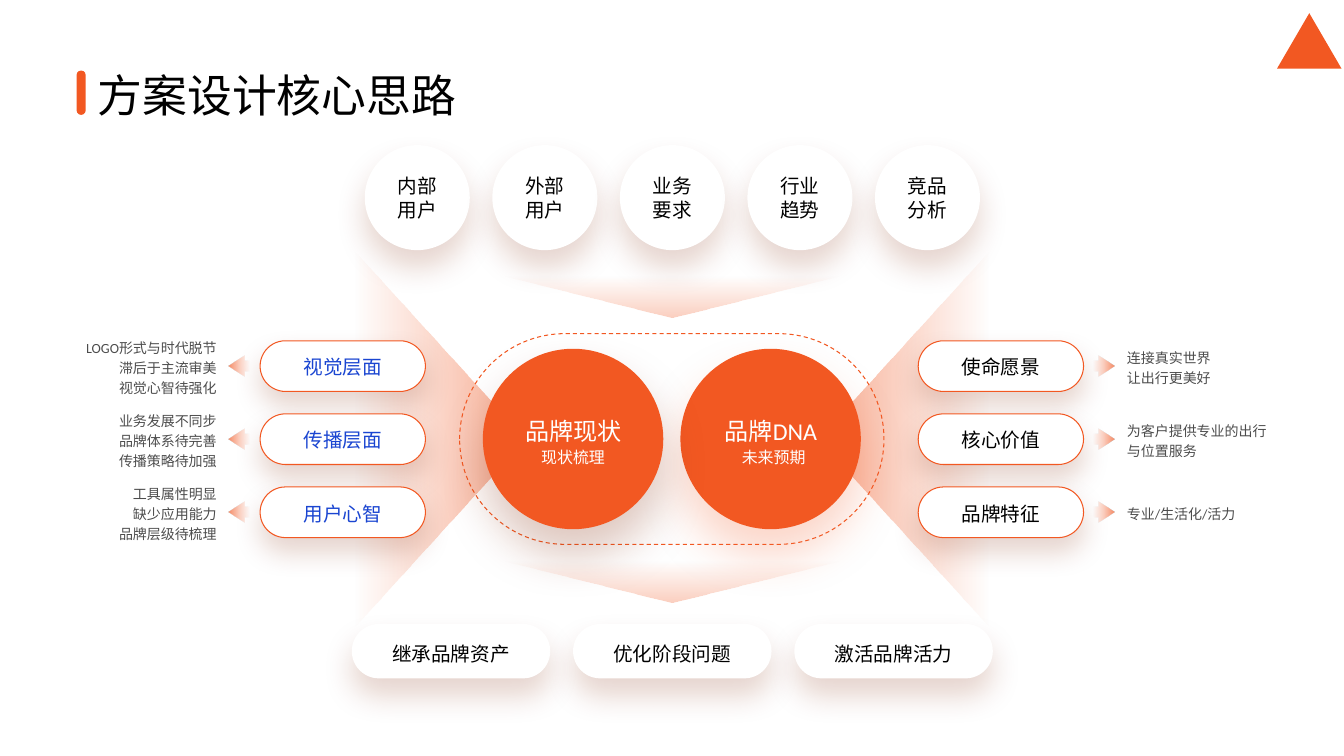
from pptx import Presentation
from pptx.dml.color import RGBColor
from pptx.enum.dml import MSO_LINE
from pptx.enum.shapes import MSO_SHAPE
from pptx.enum.text import MSO_ANCHOR, MSO_AUTO_SIZE, PP_ALIGN
from pptx.oxml import parse_xml
from pptx.oxml.ns import nsdecls, qn
from pptx.util import Pt

OVAL, PILL = MSO_SHAPE.OVAL, MSO_SHAPE.ROUNDED_RECTANGLE
TRIANGLE, ARROW = MSO_SHAPE.ISOSCELES_TRIANGLE, MSO_SHAPE.RIGHT_ARROW
LEFT, CENTER, RIGHT = PP_ALIGN.LEFT, PP_ALIGN.CENTER, PP_ALIGN.RIGHT
TOP, FIT, NO_FIT = MSO_ANCHOR.TOP, MSO_AUTO_SIZE.SHAPE_TO_FIT_TEXT, MSO_AUTO_SIZE.NONE
DASH = MSO_LINE.DASH
ORANGE, BROWN, WHITE, BLACK, BLUE = "F25822", "822808", "FFFFFF", "000000", "1A45D1"
CARD_SHADOW = (BROWN, 20, 22.1, 12.6)
PILL_SHADOW = (BROWN, 20, 20, 10)


def color(value):
    return RGBColor.from_string(value)


class SlideBuilder:
    """Draws styled elements on one slide, with lengths in points."""

    font = "Calibri"

    def __init__(self, slide):
        self.slide = slide

    def style(self, text_frame, text, size, text_color, align, spacing=None):
        text_frame.text = text
        for paragraph in text_frame.paragraphs:
            paragraph.alignment = align
            if spacing:
                paragraph.line_spacing = spacing
            for run in paragraph.runs:
                run.font.name = self.font
                run.font.size = Pt(size)
                run.font.color.rgb = color(text_color)

    def title(self, text, left, top, width, height):
        title = self.slide.shapes.title
        title.left, title.top, title.width, title.height = map(Pt, (left, top, width, height))
        text_frame = title.text_frame
        text_frame.word_wrap = False
        text_frame.auto_size = NO_FIT
        text_frame.vertical_anchor = TOP
        self.style(text_frame, text, 32, BLACK, LEFT)

    def text(self, text, left, top, width, height, size=14, text_color=BLACK, align=CENTER,
             spacing=None, margins=(6.5, 3.2), wrap=True, alpha=None):
        box = self.slide.shapes.add_textbox(*map(Pt, (left, top, width, height)))
        text_frame = box.text_frame
        text_frame.word_wrap = wrap
        text_frame.auto_size = FIT
        text_frame.margin_left = text_frame.margin_right = Pt(margins[0])
        text_frame.margin_top = text_frame.margin_bottom = Pt(margins[1])
        self.style(text_frame, text, size, text_color, align, spacing)
        if alpha:
            for tint in box._element.iter(qn("a:srgbClr")):
                tint.append(parse_xml(f'<a:alpha {nsdecls("a")} val="{alpha * 1000}"/>'))

    def shape(self, kind, left, top, width, height, fill=None, line=None, dash=None, shadow=None):
        shape = self.slide.shapes.add_shape(kind, *map(Pt, (left, top, width, height)))
        if kind == PILL:
            shape.adjustments[0] = 0.5
        if fill:
            shape.fill.solid()
            shape.fill.fore_color.rgb = color(fill)
        else:
            shape.fill.background()
        if line:
            shape.line.color.rgb = color(line)
            shape.line.width = Pt(0.75)
            shape.line.dash_style = dash
        else:
            shape.line.fill.background()
        shape.shadow.inherit = False
        if shadow:
            tint, alpha, blur, distance = shadow
            shape._element.spPr.find(qn("a:effectLst")).append(parse_xml(
                f'<a:outerShdw {nsdecls("a")} blurRad="{Pt(blur)}" dist="{Pt(distance)}" '
                f'dir="5400000" algn="t" rotWithShape="0"><a:srgbClr val="{tint}">'
                f'<a:alpha val="{alpha * 1000}"/></a:srgbClr></a:outerShdw>'))
        return shape

    def fade(self, kind, left, top, width, height, alphas, angle, rotation=0):
        shape = self.shape(kind, left, top, width, height)
        shape.rotation = rotation
        step = 100000 // (len(alphas) - 1)
        stops = "".join(
            f'<a:gs pos="{index * step}"><a:srgbClr val="{ORANGE}">'
            f'<a:alpha val="{alpha * 1000}"/></a:srgbClr></a:gs>'
            for index, alpha in enumerate(alphas))
        properties = shape._element.spPr
        properties.replace(properties.find(qn("a:noFill")), parse_xml(
            f'<a:gradFill {nsdecls("a")} rotWithShape="1"><a:gsLst>{stops}</a:gsLst>'
            f'<a:lin ang="{angle * 60000}" scaled="0"/></a:gradFill>'))
        return shape

    def arrow(self, left, middle, flipped):
        arrow = self.fade(ARROW, left, middle - 7.5, 15, 15, (0, 30, 70), 0)
        arrow.adjustments[1] = 0.763
        if flipped:
            arrow._element.spPr.find(qn("a:xfrm")).set("flipH", "1")

    def side(self, rows, beam_left, beam_rotation, pill_left, arrow_left, note_left,
             label_color, note_align):
        self.fade(TRIANGLE, beam_left, 252, 270.7, 123.1, (0, 50), 270, beam_rotation)
        for index, (label, note) in enumerate(rows):
            middle = 261.5 + 52.2 * index
            height = 6.5 + 14.4 * len(note.split("\n"))
            self.text(note, note_left, middle - height / 2, 190, height, 10, BLACK,
                      note_align, 1.2, alpha=70)
            self.shape(PILL, pill_left, middle - 18.1, 118.1, 36.2, WHITE, ORANGE,
                       shadow=PILL_SHADOW)
            self.text(label, pill_left + 2.5, middle - 10.9, 113.1, 23.8,
                      text_color=label_color)
            self.arrow(arrow_left, middle, note_align == RIGHT)


def main():
    presentation = Presentation()
    presentation.slide_width, presentation.slide_height = Pt(960), Pt(540)
    slide = presentation.slides.add_slide(presentation.slide_layouts[5])
    builder = SlideBuilder(slide)

    builder.title("方案设计核心思路", 62.6, 44.6, 279.4, 46)
    builder.shape(PILL, 54.7, 50.4, 6.5, 31.7, ORANGE)
    builder.shape(TRIANGLE, 912.2, 9.4, 46.1, 39.6, ORANGE)

    inputs = ("内部\n用户", "外部用户", "业务要求", "行业趋势", "竞品分析")
    for index, label in enumerate(inputs):
        left = 260.6 + 91.1 * index
        builder.shape(OVAL, left, 103.7, 75, 75, WHITE, shadow=CARD_SHADOW)
        builder.text(label, left + 8.7, 120.2, 57.6, 42.5, margins=(8.6, 4.3))

    for index, label in enumerate(("继承品牌资产", "优化阶段问题", "激活品牌活力")):
        left = 251.3 + 158.05 * index
        builder.shape(PILL, left, 445.7, 141.8, 38.9, WHITE, shadow=CARD_SHADOW)
        builder.text(label, left + 21.6, 455, 98.6, 23.8, wrap=False)

    future = (("使命愿景", "连接真实世界\n让出行更美好"),
              ("核心价值", "为客户提供专业的出行\n与位置服务"),
              ("品牌特征", "专业/生活化/活力"))
    builder.side(future, 510.5, 270, 655.9, 781.2, 798.5, BLACK, LEFT)

    present = (("视觉层面", "LOGO形式与时代脱节\n滞后于主流审美\n视觉心智待强化"),
               ("传播层面", "业务发展不同步\n品牌体系待完善\n传播策略待加强"),
               ("用户心智", "工具属性明显\n缺少应用能力\n品牌层级待梳理"))
    builder.side(present, 178.6, 90, 185.8, 163.4, -28.8, BLUE, RIGHT)

    builder.shape(PILL, 328.3, 238.3, 303.1, 150.5, line=ORANGE, dash=DASH)
    cores = (("品牌DNA", "未来预期", 486, 499, "F3602D"),
             ("品牌现状", "现状梳理", 344.9, 355.7, BROWN))
    for heading, caption, left, caption_left, shadow_color in cores:
        builder.shape(OVAL, left, 249.1, 128.9, 128.9, ORANGE,
                      shadow=(shadow_color, 25, 33.4, 19.1))
        builder.text(heading, left + 20, 290.2, 89.3, 30.2, 17.2, WHITE, spacing=1.2, wrap=False)
        builder.text(caption, caption_left, 316.8, 107.3, 20.2, 11.4, WHITE)

    for top in (197.3, 401):
        builder.fade(TRIANGLE, 360, top, 239.8, 29.5, (0, 30), 270, 180)

    presentation.save("out.pptx")


if __name__ == "__main__":
    main()
